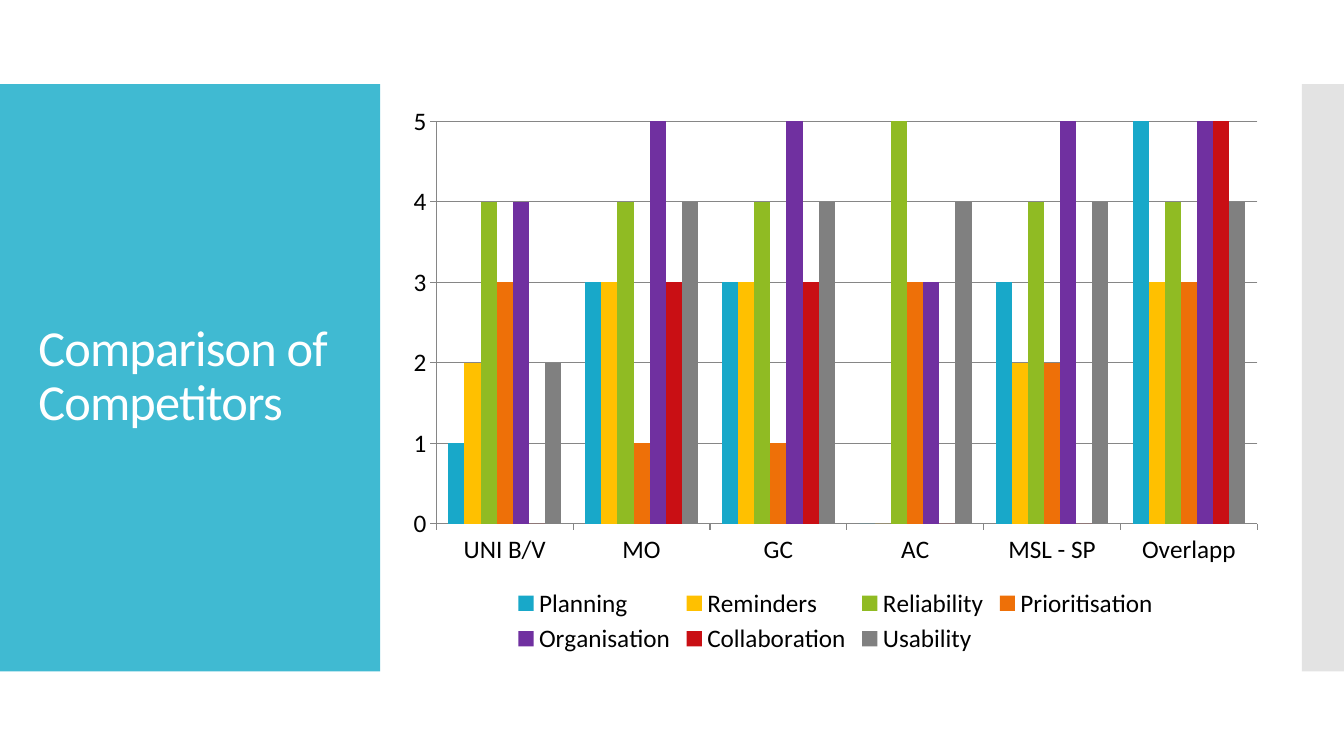
from dataclasses import dataclass
from lxml.etree import SubElement
from pptx import Presentation
from pptx.chart.data import CategoryChartData as ChartData
from pptx.dml.color import RGBColor as RGB
from pptx.enum.chart import XL_CHART_TYPE as ChartType
from pptx.enum.chart import XL_LEGEND_POSITION as LegendPosition
from pptx.enum.chart import XL_TICK_MARK as TickMark
from pptx.enum.shapes import MSO_SHAPE as Preset
from pptx.enum.text import MSO_ANCHOR as Anchor
from pptx.enum.text import MSO_AUTO_SIZE as AutoSize
from pptx.enum.text import PP_ALIGN as Align
from pptx.oxml.ns import qn
from pptx.util import Cm, Pt


@dataclass(frozen=True)
class Theme:
    font: str = "Calibri"
    title_size: int = 36
    chart_size: int = 18
    title_spacing: int = -60
    panel: str = "40BAD2"
    edge: str = "C8C8C8"
    title: str = "FFFFFF"
    ink: str = "000000"
    grid: str = "868686"
    series: tuple = ("18A8C9", "FFC000", "90BB23", "EE7008",
                     "7030A0", "C90F14", "808080")


CATEGORIES = ("UNI B/V", "MO", "GC", "AC", "MSL - SP", "Overlapp")
RATINGS = {
    "Planning": (1, 3, 3, 0, 3, 5),
    "Reminders": (2, 3, 3, 0, 2, 3),
    "Reliability": (4, 4, 4, 5, 4, 4),
    "Prioritisation": (3, 1, 1, 3, 2, 3),
    "Organisation": (4, 5, 5, 3, 5, 5),
    "Collaboration": (0, 3, 3, 0, 0, 5),
    "Usability": (2, 4, 4, 4, 4, 4),
}


def apply(target, formats):
    for name, value in formats.items():
        setattr(target, name, value)


class SlideBuilder:
    def __init__(self, slide, theme):
        self.slide = slide
        self.theme = theme

    def style_font(self, font, size, color):
        apply(font, {"name": self.theme.font, "size": Pt(size), "bold": False})
        font.color.rgb = RGB.from_string(color)

    def band(self, left, top, width, height, color, opacity=100):
        band = self.slide.shapes.add_shape(
            Preset.RECTANGLE, Cm(left), Cm(top), Cm(width), Cm(height))
        band.shadow.inherit = False
        band.fill.solid()
        band.fill.fore_color.rgb = RGB.from_string(color)
        band.line.fill.background()
        if opacity < 100:
            tint = next(band.element.iter(qn("a:srgbClr")))
            SubElement(tint, qn("a:alpha"), val=str(opacity * 1000))
        self.slide.shapes.title.element.addprevious(band.element)

    def title(self, wording, left, top, width, height):
        heading = self.slide.shapes.title
        apply(heading, {"left": Cm(left), "top": Cm(top),
                        "width": Cm(width), "height": Cm(height)})
        frame = heading.text_frame
        frame.text = wording
        apply(frame, {"word_wrap": True, "auto_size": AutoSize.NONE,
                      "vertical_anchor": Anchor.MIDDLE})
        paragraph = frame.paragraphs[0]
        apply(paragraph, {"alignment": Align.LEFT, "line_spacing": 0.9})
        self.style_font(paragraph.runs[0].font, self.theme.title_size, self.theme.title)
        for properties in heading.element.iter(qn("a:rPr")):
            properties.set("spc", str(self.theme.title_spacing))

    def column_chart(self, categories, ratings, left, top, width, height):
        data = ChartData(number_format="General")
        data.categories = categories
        for name, values in ratings.items():
            data.add_series(name, values)
        chart = self.slide.shapes.add_chart(
            ChartType.COLUMN_CLUSTERED, Cm(left), Cm(top), Cm(width), Cm(height), data).chart
        self.style_font(chart.font, self.theme.chart_size, self.theme.ink)
        apply(chart, {"has_title": False, "has_legend": True})
        apply(chart.legend, {"position": LegendPosition.BOTTOM, "include_in_layout": False})
        plot = chart.plots[0]
        apply(plot, {"gap_width": 150, "overlap": 0, "vary_by_categories": False})
        for series, color in zip(plot.series, self.theme.series):
            series.format.fill.solid()
            series.format.fill.fore_color.rgb = RGB.from_string(color)
        apply(chart.value_axis, {"minimum_scale": 0, "maximum_scale": 5,
                                 "major_unit": 1, "has_major_gridlines": True})
        for axis in (chart.category_axis, chart.value_axis):
            apply(axis, {"major_tick_mark": TickMark.OUTSIDE,
                         "minor_tick_mark": TickMark.NONE})
        for ruled in (chart.category_axis, chart.value_axis, chart.value_axis.major_gridlines):
            ruled.format.line.width = Pt(0.75)
            ruled.format.line.color.rgb = RGB.from_string(self.theme.grid)


def main():
    deck = Presentation()
    apply(deck, {"slide_width": Cm(33.87), "slide_height": Cm(19.05)})
    theme = Theme()
    builder = SlideBuilder(deck.slides.add_slide(deck.slide_layouts[5]), theme)
    builder.band(0, 2.12, 9.58, 14.8, theme.panel)
    builder.band(32.81, 2.12, 1.06, 14.8, theme.edge, opacity=50)
    builder.title("Comparison of Competitors", 0.71, 3.12, 8.18, 12.78)
    builder.column_chart(CATEGORIES, RATINGS, 9.98, 2.39, 22.15, 14.22)
    deck.save("out.pptx")


if __name__ == "__main__":
    main()
